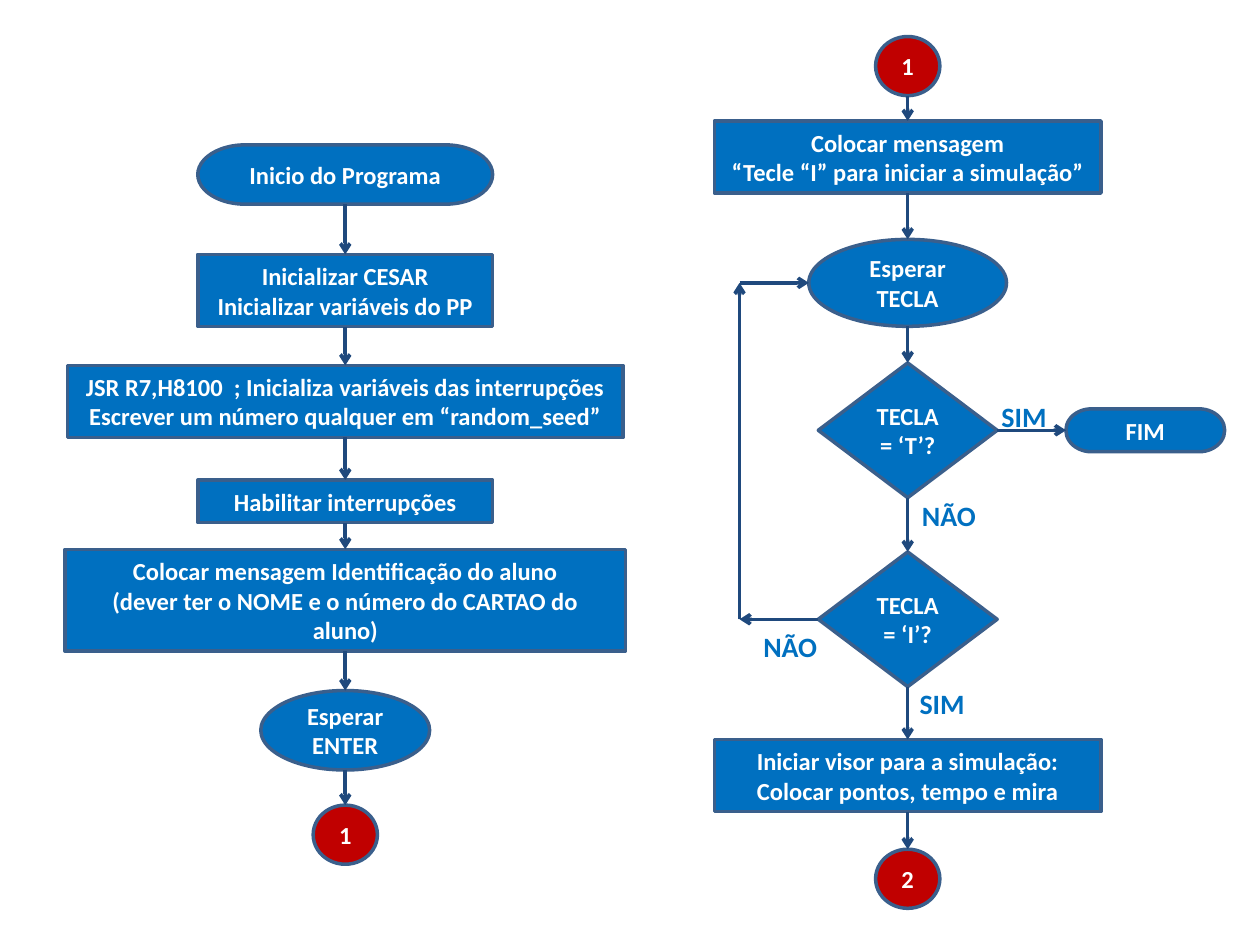
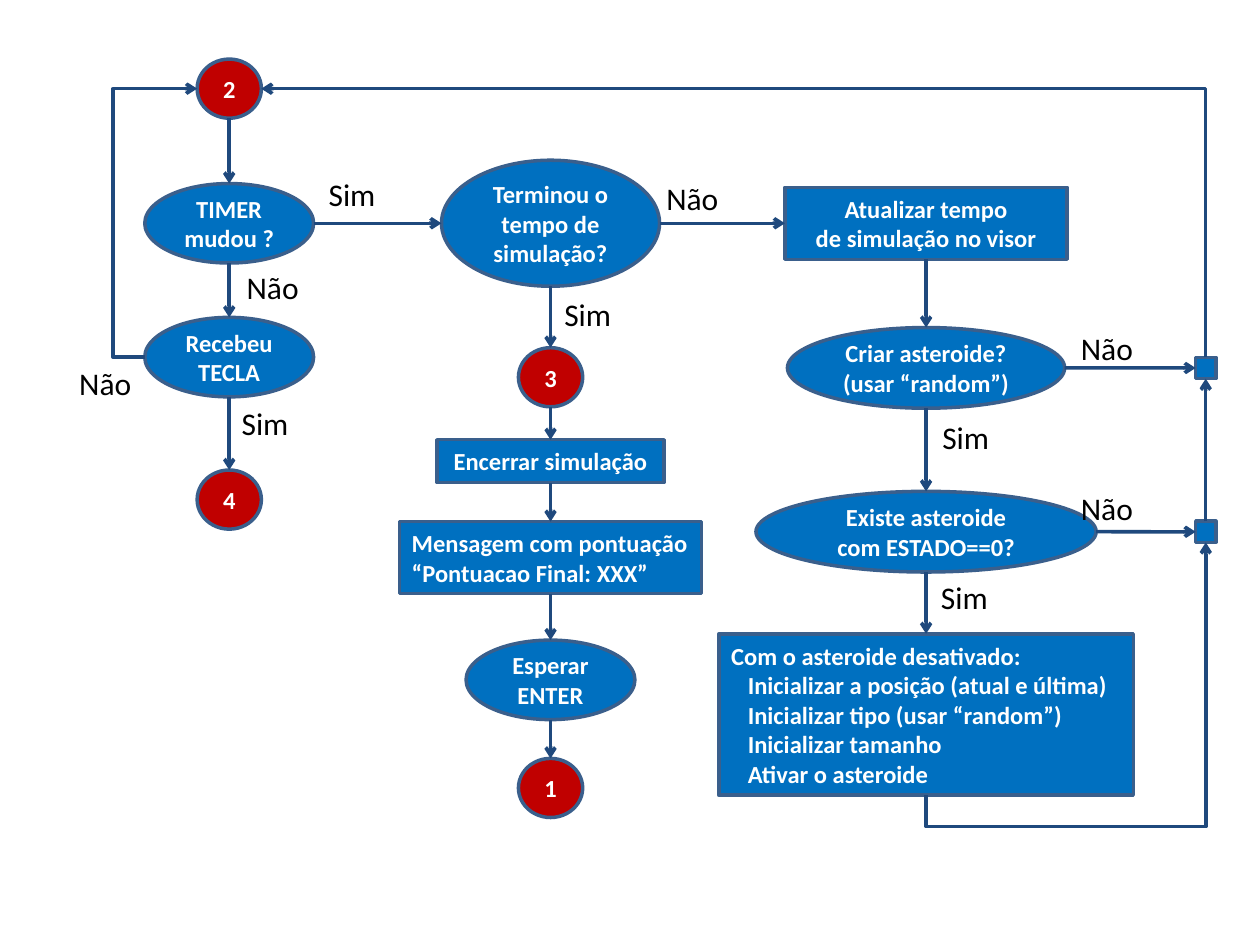
"""Builds two flowchart slides for the start-up and the main loop of a simulation."""
from dataclasses import dataclass

from lxml import etree
from pptx import Presentation
from pptx.dml.color import RGBColor
from pptx.enum.shapes import MSO_CONNECTOR, MSO_SHAPE
from pptx.enum.text import MSO_ANCHOR, PP_ALIGN
from pptx.oxml.ns import qn
from pptx.util import Pt

STEP = MSO_SHAPE.RECTANGLE
OVAL = MSO_SHAPE.OVAL
TERMINAL = MSO_SHAPE.FLOWCHART_TERMINATOR
DECISION = MSO_SHAPE.FLOWCHART_DECISION
STRAIGHT, ELBOW = MSO_CONNECTOR.STRAIGHT, MSO_CONNECTOR.ELBOW
CENTER, LEFT_ALIGNED = PP_ALIGN.CENTER, PP_ALIGN.LEFT
MIDDLE = MSO_ANCHOR.MIDDLE
TOP, LEFT, BOTTOM, RIGHT = range(4)
BLANK = 6
WAIT_SIZE = (96.5, 45.4)
DECISION_SIZE = (102.2, 77)


@dataclass(frozen=True)
class Theme:
    """Colours, type sizes and line width."""
    font: str = "Calibri"
    step: RGBColor = RGBColor(0x00, 0x70, 0xC0)
    junction: RGBColor = RGBColor(0xC0, 0x00, 0x00)
    outline: RGBColor = RGBColor(0x3A, 0x5F, 0x8C)
    arrow: RGBColor = RGBColor(0x1F, 0x49, 0x7D)
    light: RGBColor = RGBColor(0xFF, 0xFF, 0xFF)
    dark: RGBColor = RGBColor(0x00, 0x00, 0x00)
    step_size: float = 14
    answer_size: float = 16
    large_answer_size: float = 18
    line_width: float = 2


class Flowchart:
    """Draws flowchart elements, in points, on the current slide."""

    def __init__(self, theme):
        """Start a 10 by 7.5 inch presentation."""
        self.theme = theme
        self.deck = Presentation()
        self.deck.slide_width, self.deck.slide_height = Pt(720), Pt(540)

    def new_slide(self):
        """Add a blank slide and make it current."""
        layout = self.deck.slide_layouts[BLANK]
        self.shapes = self.deck.slides.add_slide(layout).shapes

    def set_text(self, frame, text, size, color, bold, align):
        """Fill a text frame, one paragraph a line."""
        frame.text = text
        for paragraph in frame.paragraphs:
            paragraph.alignment = align
            font = paragraph.font
            font.name, font.size, font.bold = self.theme.font, Pt(size), bold
            font.color.rgb = color

    def node(self, kind, center, top, size, text="", fill=None):
        """Add a box centred on a vertical axis."""
        width, height = size
        box = self.shapes.add_shape(
            kind, Pt(center - width / 2), Pt(top), Pt(width), Pt(height))
        box.shadow.inherit = False
        box.fill.solid()
        box.fill.fore_color.rgb = fill or self.theme.step
        box.line.color.rgb = self.theme.outline
        box.line.width = Pt(self.theme.line_width)
        box.text_frame.vertical_anchor = MIDDLE
        if text:
            self.set_text(box.text_frame, text, self.theme.step_size,
                          self.theme.light, True, CENTER)
        return box

    def junction(self, center, top, number):
        """Add a numbered red circle."""
        return self.node(OVAL, center, top, (36.7, 33.8), number, self.theme.junction)

    def column(self, center, rows):
        """Stack boxes on one axis and join each to the next."""
        boxes = [self.junction(center, *row) if len(row) == 2
                 else self.node(row[0], center, *row[1:]) for row in rows]
        for upper, lower in zip(boxes, boxes[1:]):
            self.arrow((upper, BOTTOM), (lower, TOP))
        return boxes

    def align_left(self, box, indent=0):
        """Align lines left and indent those after the first."""
        for number, paragraph in enumerate(box.text_frame.paragraphs):
            paragraph.alignment = LEFT_ALIGNED
            if number and indent:
                paragraph._p.get_or_add_pPr().set("marL", str(Pt(indent)))

    def answers(self, text, places, size, color, bold=False, wrap=False):
        """Put one answer beside each of several arrows."""
        for left, top in places:
            frame = self.shapes.add_textbox(Pt(left), Pt(top), Pt(56), Pt(28)).text_frame
            frame.word_wrap = wrap
            self.set_text(frame, text, size, color, bold, LEFT_ALIGNED)

    @staticmethod
    def port(box, side):
        """Return the middle of a box's side."""
        across, down = {TOP: (0.5, 0), LEFT: (0, 0.5),
                        BOTTOM: (0.5, 1), RIGHT: (1, 0.5)}[side]
        return (int(box.left + across * box.width), int(box.top + down * box.height))

    def style_arrow(self, arrow):
        """Give a connector its colour, width and arrowhead."""
        arrow.line.color.rgb = self.theme.arrow
        arrow.line.width = Pt(self.theme.line_width)
        outline = arrow.line._get_or_add_ln()
        etree.SubElement(outline, qn("a:tailEnd"), type="arrow")
        etree.SubElement(arrow._element.spPr, qn("a:effectLst"))

    def arrow(self, start, end):
        """Draw a straight arrow between two box sides."""
        arrow = self.shapes.add_connector(STRAIGHT, *self.port(*start), *self.port(*end))
        for (box, side), join in ((start, arrow.begin_connect), (end, arrow.end_connect)):
            if box.auto_shape_type != OVAL:
                join(box, side)
        self.style_arrow(arrow)

    def return_path(self, source, side, target_box, target_side, turn):
        """Draw three arrows back to an earlier box along a vertical line."""
        x0, y0 = self.port(source, side)
        x1, y1 = self.port(target_box, target_side)
        corners = [(x0, y0), (Pt(turn), y0), (Pt(turn), y1), (x1, y1)]
        for number, (start, end) in enumerate(zip(corners, corners[1:])):
            arrow = self.shapes.add_connector(STRAIGHT, *start, *end)
            if number == 0:
                arrow.begin_connect(source, side)
            self.style_arrow(arrow)

    def elbow(self, start, end, bend, upright=False):
        """Draw a bent arrow, turned a quarter if it leaves vertically."""
        (x0, y0), (x1, y1) = self.port(*start), self.port(*end)
        if upright:
            middle_x, middle_y = (x0 + x1) // 2, (y0 + y1) // 2
            half_x, half_y = (x1 - x0) // 2, (y1 - y0) // 2
            x0, y0 = middle_x - half_y, middle_y + half_x
            x1, y1 = middle_x + half_y, middle_y - half_x
        arrow = self.shapes.add_connector(ELBOW, x0, y0, x1, y1)
        if upright:
            arrow.rotation = 90
        geometry = arrow._element.spPr.find(qn("a:prstGeom"))
        guides = geometry.find(qn("a:avLst"))
        if guides is None:
            guides = etree.SubElement(geometry, qn("a:avLst"))
        etree.SubElement(guides, qn("a:gd"), name="adj1", fmla=f"val {round(bend * 100000)}")
        self.style_arrow(arrow)


def draw_startup(chart):
    """Draw the initialisation and the wait for the start key."""
    chart.new_slide()
    chart.column(197.3, [
        (TERMINAL, 82.8, (168.5, 33.9), "Inicio do Programa"),
        (STEP, 145.4, (168.5, 41.2), "Inicializar CESAR\nInicializar variáveis do PP"),
        (STEP, 208.8, (317.5, 41.2),
         "JSR R7,H8100  ; Inicializa variáveis das interrupções\n"
         "Escrever um número qualquer em “random_seed”"),
        (STEP, 274.3, (168.5, 24.3), "Habilitar interrupções"),
        (STEP, 313.9, (320.4, 58.2),
         "Colocar mensagem Identificação do aluno\n"
         "(dever ter o NOME e o número do CARTAO do aluno)"),
        (OVAL, 394.6, WAIT_SIZE, "Esperar\nENTER"),
        (460.1, "1"),
    ])
    _, _, wait_key, is_t, is_i, _, _ = chart.column(518.7, [
        (20.9, "1"),
        (STEP, 69.1, (221, 41.2),
         "Colocar mensagem\n“Tecle “I” para iniciar a simulação”"),
        (OVAL, 136.8, (113, 49.7), "Esperar\nTECLA"),
        (DECISION, 207.4, DECISION_SIZE, "TECLA = ‘T’?"),
        (DECISION, 315.4, DECISION_SIZE, "TECLA = ‘I’?"),
        (STEP, 422.6, (221, 41.2),
         "Iniciar visor para a simulação:\nColocar pontos, tempo e mira"),
        (485.3, "2"),
    ])
    finish = chart.node(TERMINAL, 654.5, 233.65, (90.7, 24.5), "FIM")
    chart.arrow((is_t, RIGHT), (finish, LEFT))
    chart.return_path(is_i, LEFT, wait_key, LEFT, 422.6)
    style = (chart.theme.answer_size, chart.theme.step, True, True)
    chart.answers("SIM", [(565.2, 224.6), (518.4, 388.8)], *style)
    chart.answers("NÃO", [(429.1, 356.4), (519.8, 281.5)], *style)


def draw_main_loop(chart):
    """Draw the timer loop, the end of the simulation and the asteroids."""
    chart.new_slide()
    loop_start, timer, key, _ = chart.column(131, [
        (33.8, "2"),
        (OVAL, 104.9, WAIT_SIZE, "TIMER\nmudou ?"),
        (OVAL, 181.4, WAIT_SIZE, "Recebeu\nTECLA"),
        (268.6, "4"),
    ])
    time_over, _, _, score, _, _ = chart.column(314.6, [
        (OVAL, 91.6, (124.6, 72), "Terminou o tempo de simulação?"),
        (198.7, "3"),
        (STEP, 251.3, (129.6, 24.5), "Encerrar simulação"),
        (STEP, 298.1, (172.8, 41.2), "Mensagem com pontuação\n“Pontuacao Final: XXX”"),
        (OVAL, 365.8, WAIT_SIZE, "Esperar\nENTER"),
        (433.4, "1"),
    ])
    update, create, free_slot, activate = chart.column(529.2, [
        (STEP, 107, (161.3, 41.2), "Atualizar tempo\nde simulação no visor"),
        (OVAL, 187.2, (158.4, 46.1), "Criar asteroide?\n(usar “random”)"),
        (OVAL, 280.8, (194.4, 46.1), "Existe asteroide\ncom ESTADO==0?"),
        (STEP, 362.2, (236.9, 92.2),
         "Com o asteroide desativado:\nInicializar a posição (atual e última)\n"
         "Inicializar tipo (usar “random”)\nInicializar tamanho\nAtivar o asteroide"),
    ])
    chart.align_left(score)
    chart.align_left(activate, indent=9.5)
    upper_merge, lower_merge = [chart.node(STEP, 689, top, (11.5, 12.2))
                                for top in (204.2, 297.8)]
    for source, target in ((timer, time_over), (time_over, update),
                           (create, upper_merge), (free_slot, lower_merge)):
        chart.arrow((source, RIGHT), (target, LEFT))
    chart.arrow((lower_merge, TOP), (upper_merge, BOTTOM))
    chart.elbow((key, LEFT), (loop_start, LEFT), -0.605)
    chart.elbow((upper_merge, TOP), (loop_start, RIGHT), 0)
    chart.elbow((activate, BOTTOM), (lower_merge, BOTTOM), -0.125, upright=True)
    style = (chart.theme.large_answer_size, chart.theme.dark)
    chart.answers("Não", [(38.2, 204.5), (133.9, 149.8), (373.7, 98.6),
                          (610.6, 184.3), (610.6, 275.8)], *style)
    chart.answers("Sim", [(180.7, 96.5), (315.4, 164.9), (531.4, 235.4),
                          (530.6, 326.9), (131, 227.5)], *style)


def main():
    """Build both slides and save them."""
    chart = Flowchart(Theme())
    draw_startup(chart)
    draw_main_loop(chart)
    chart.deck.save("out.pptx")


if __name__ == "__main__":
    main()
